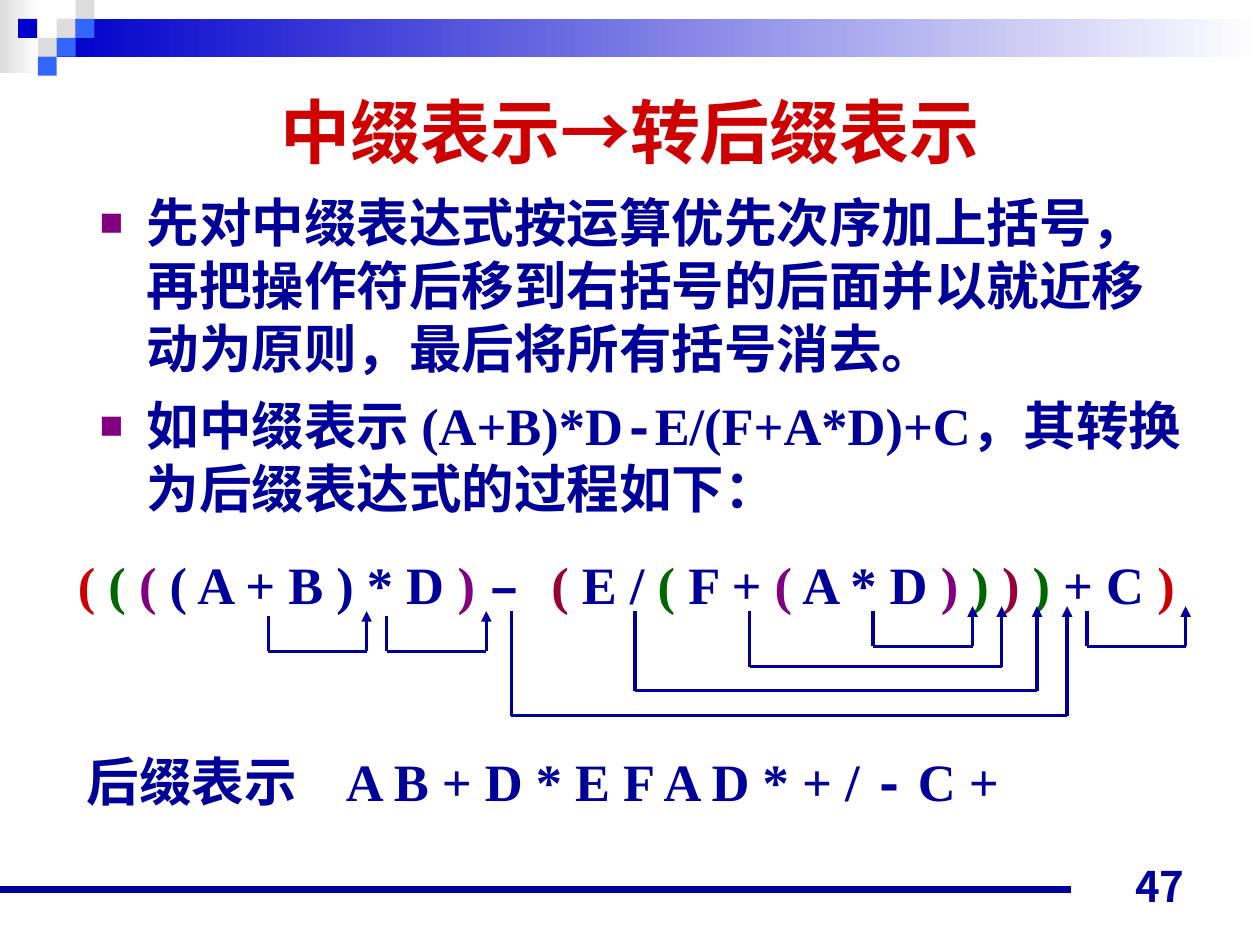
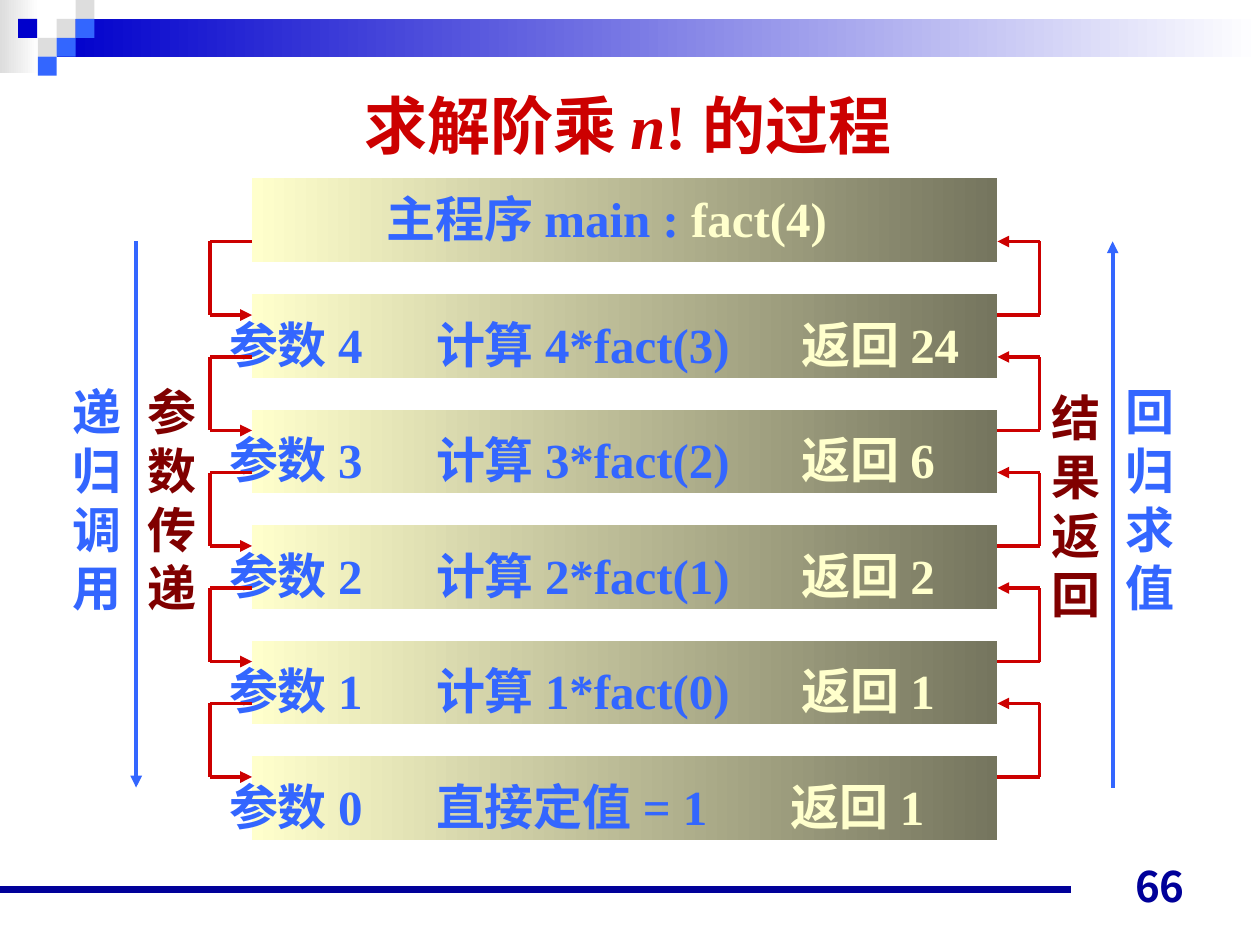
from lxml.etree import SubElement
from pptx import Presentation
from pptx.dml.color import RGBColor
from pptx.enum.shapes import MSO_CONNECTOR, MSO_SHAPE
from pptx.enum.text import MSO_ANCHOR, MSO_AUTO_SIZE, PP_ALIGN
from pptx.oxml.ns import qn
from pptx.util import Pt

WHITE = RGBColor(0xFF, 0xFF, 0xFF)
GREY = RGBColor(0xDD, 0xDD, 0xDD)
BAND_BLUE = RGBColor(0x00, 0x00, 0xCC)
LIGHT_BLUE = RGBColor(0x33, 0x66, 0xFF)
NAVY = RGBColor(0x00, 0x00, 0x99)
RED = RGBColor(0xCC, 0x00, 0x00)
GREEN = RGBColor(0x00, 0x66, 0x00)
PURPLE = RGBColor(0x80, 0x00, 0x80)
CRIMSON = RGBColor(0x99, 0x00, 0x33)
MAROON = RGBColor(0x80, 0x00, 0x00)
CREAM = RGBColor(0xFF, 0xFF, 0xCC)
OLIVE = RGBColor(0x75, 0x75, 0x5E)

SERIF = "Times New Roman"
MONO = "Courier New"
SANS = "Arial"
CHINESE = "Noto Sans CJK SC"
NUMBER_FONT = "Noto Sans CJK JP"

# Shared decoration: squares are (left, top, colour)
SQUARE = 10.8
SQUARES = [
    (32.4, 10.8, GREY), (43.2, 0, GREY), (43.2, 10.8, LIGHT_BLUE),
    (21.6, 21.6, GREY), (10.4, 10.8, BAND_BLUE),
    (32.4, 21.6, LIGHT_BLUE), (21.6, 32.4, LIGHT_BLUE),
]

# Slide 47: runs are (text, format)
POSTFIX_TITLE = [("中缀表示", {}), ("→", {"font": MONO}), ("转后缀表示", {})]
POSTFIX_BULLETS = [
    [("先对中缀表达式按运算优先次序加上括号，再把操作符后移到右括号的后面"
      "并以就近移动为原则，最后将所有括号消去。", {})],
    [("如中缀表示 ", {}), ("(A+B)*D", {"font": SERIF}), ("-", {"font": MONO}),
     ("E/(F+A*D)+C", {"font": SERIF}),
     ("，其转换为后缀表达式的过程如下：", {})],
]
BRACKETED_EXPRESSION = [
    ("( ", {"color": RED}), ("( ", {"color": GREEN}), ("(", {"color": PURPLE}),
    (" ( A + B ) * D ", {}), (") ", {"color": PURPLE}), ("– ", {"font": MONO}),
    ("(", {"color": CRIMSON}), (" E / ", {}), ("(", {"color": GREEN}),
    (" F + ", {}), ("(", {"color": PURPLE}), (" A * D ", {}),
    (") ", {"color": PURPLE}), (") ", {"color": GREEN}),
    (") ", {"color": CRIMSON}), (")", {"color": GREEN}), (" + C ", {}),
    (")", {"color": RED}),
]
POSTFIX_RESULT = [("后缀表示\tA B + D * E F A D * + / ", {}),
                  ("-", {"font": MONO}), (" C +", {})]
# (operator x, bracket x, bottom y, arrow tip y)
OPERATOR_MOVES = [
    (153.4, 209.5, 372.2, 349.2), (221, 277.9, 372.2, 349.2),
    (499, 555.8, 369.4, 346.4), (428.4, 572.4, 380.9, 346.4),
    (362.9, 592.6, 394.6, 346.4), (621.2, 677.5, 369.4, 346.4),
    (292.3, 609.8, 409, 346.4),
]

# Slide 66
FACTORIAL_TITLE = [("求解阶乘 ", {}), ("n", {"italic": True}), ("! 的过程", {})]
MAIN_CALL = ("主程序 main : ", "fact(4)")
# (parameter, calculation, result, tab position of the result)
CALLS = [
    ("参数 4", "计算 4*fact(3)", "返回 24", 327),
    ("参数 3", "计算 3*fact(2)", "返回 6", 327),
    ("参数 2", "计算 2*fact(1)", "返回 2", 327),
    ("参数 1", "计算 1*fact(0)", "返回 1", 327),
    ("参数 0", "直接定值 = 1", "返回 1", 321),
]
# (text, left, top, width, colour)
SIDE_LABELS = [
    ("参数传递", 77, 212.4, 49, MAROON), ("结果返回", 594, 216, 43.2, MAROON),
    ("递归调用", 34.6, 212.4, 49, LIGHT_BLUE),
    ("回归求值", 635.8, 212.4, 49, LIGHT_BLUE),
]
BAR_LEFT, BAR_TOP, BAR_WIDTH, BAR_HEIGHT, BAR_STEP = 144, 102, 426, 48, 66
LINK_REACH = 24
LINK_START, LINK_END = 36, 78


def place(shape, left, top, width, height):
    shape.left, shape.top = Pt(left), Pt(top)
    shape.width, shape.height = Pt(width), Pt(height)


def add_bullet(properties):
    properties.set("marL", str(Pt(27)))
    properties.set("indent", str(Pt(-27)))
    color = SubElement(properties, qn("a:buClr"))
    SubElement(color, qn("a:srgbClr"), val=str(PURPLE))
    SubElement(properties, qn("a:buSzPct"), val="75000")
    SubElement(properties, qn("a:buFont"), typeface=SANS)
    SubElement(properties, qn("a:buChar"), char="■")


def write_text(shape, paragraphs, size=30, font=SERIF, color=NAVY,
               align=PP_ALIGN.LEFT, anchor=MSO_ANCHOR.TOP, bullet=False,
               gap=0, tabs=(), top_inset=5.6):
    """Fill a shape with paragraphs, each a list of (text, format) runs."""
    frame = shape.text_frame
    frame.word_wrap = True
    frame.auto_size = MSO_AUTO_SIZE.NONE
    frame.vertical_anchor = anchor
    frame.margin_left = frame.margin_right = Pt(7.2)
    frame.margin_top, frame.margin_bottom = Pt(top_inset), Pt(3.6)
    for index, runs in enumerate(paragraphs):
        paragraph = frame.add_paragraph() if index else frame.paragraphs[0]
        properties = paragraph._p.get_or_add_pPr()
        if bullet:
            add_bullet(properties)
        if tabs:
            tab_list = SubElement(properties, qn("a:tabLst"))
            for position in tabs:
                SubElement(tab_list, qn("a:tab"), pos=str(Pt(position)), algn="l")
        paragraph.alignment = align
        paragraph.line_spacing = Pt(size * 1.2)
        paragraph.space_before = Pt(gap if index else 0)
        for text, changes in runs:
            run = paragraph.add_run()
            run.text = text
            run.font.size = Pt(size)
            run.font.bold = True
            run.font.italic = changes.get("italic", False)
            run.font.color.rgb = changes.get("color", color)
            run.font.name = changes.get("font", font)
            SubElement(run._r.get_or_add_rPr(), qn("a:ea"), typeface=CHINESE)


def add_text(slide, left, top, width, height, runs, **text_format):
    box = slide.shapes.add_textbox(Pt(left), Pt(top), Pt(width), Pt(height))
    write_text(box, [runs], **text_format)


def add_rectangle(slide, left, top, width, height, color, right_color=None):
    """Add a plain rectangle, or one that fades from color to right_color."""
    shape = slide.shapes.add_shape(MSO_SHAPE.RECTANGLE, Pt(left), Pt(top),
                                   Pt(width), Pt(height))
    shape.shadow.inherit = False
    shape.line.fill.background()
    if right_color is None:
        shape.fill.solid()
        shape.fill.fore_color.rgb = color
        return
    shape.fill.gradient()
    shape.fill.gradient_angle = 180
    for stop, stop_color in zip(shape.fill.gradient_stops, (right_color, color)):
        stop.color.rgb = stop_color


def add_line(slide, start, end, color, width, arrow=False):
    line = slide.shapes.add_connector(MSO_CONNECTOR.STRAIGHT,
                                      *(Pt(value) for value in (*start, *end)))
    line.line.color.rgb = color
    line.line.width = Pt(width)
    if arrow:
        SubElement(line.line._get_or_add_ln(), qn("a:tailEnd"), type="triangle")
    SubElement(line._element.spPr, qn("a:effectLst"))


def add_path(slide, points, color, width):
    """Join points with straight lines; the last one carries an arrowhead."""
    for index in range(1, len(points)):
        add_line(slide, points[index - 1], points[index], color, width,
                 arrow=index == len(points) - 1)


def add_slide(presentation, layout_index, number, title, title_area, **title_format):
    slide = presentation.slides.add_slide(presentation.slide_layouts[layout_index])
    add_rectangle(slide, 0, 0, 22.3, 41.8, GREY, WHITE)
    add_rectangle(slide, 32.4, 10.8, 687.6, 21.6, BAND_BLUE, WHITE)
    for left, top, color in SQUARES:
        add_rectangle(slide, left, top, SQUARE, SQUARE, color)
    add_line(slide, (0, 508.3), (612, 508.3), NAVY, 4.5)
    place(slide.shapes.title, *title_area)
    write_text(slide.shapes.title, [title], color=RED, align=PP_ALIGN.CENTER,
               anchor=MSO_ANCHOR.MIDDLE, **title_format)
    add_text(slide, 516, 488, 168, 36, [(number, {})], size=24, font=NUMBER_FONT,
             align=PP_ALIGN.RIGHT, anchor=MSO_ANCHOR.BOTTOM, top_inset=3.6)
    return slide


def build_postfix_slide(presentation):
    slide = add_slide(presentation, 1, "47", POSTFIX_TITLE, (36, 36, 648, 75.6),
                      size=40, font=SANS)
    body = slide.placeholders[1]
    place(body, 49.7, 103, 633.6, 204.5)
    write_text(body, POSTFIX_BULLETS, font=CHINESE, bullet=True, gap=8)
    add_text(slide, 37.4, 309.6, 675, 43.2, BRACKETED_EXPRESSION)
    for operator_x, bracket_x, bottom, tip in OPERATOR_MOVES:
        add_path(slide, [(operator_x, tip + 2.9), (operator_x, bottom),
                         (bracket_x, bottom), (bracket_x, tip)], NAVY, 2)
    add_text(slide, 42.5, 422.6, 600, 43.2, POSTFIX_RESULT, tabs=[148])


def build_factorial_slide(presentation):
    slide = add_slide(presentation, 5, "66", FACTORIAL_TITLE,
                      (164.2, 43.2, 388.8, 54), size=36)
    for index in range(len(CALLS) + 1):
        add_rectangle(slide, BAR_LEFT, BAR_TOP + index * BAR_STEP,
                      BAR_WIDTH, BAR_HEIGHT, CREAM, OLIVE)
    call, argument = MAIN_CALL
    add_text(slide, 213.8, BAR_TOP, 290, 41, [(call, {}), (argument, {"color": CREAM})],
             size=28, color=LIGHT_BLUE)

    bar_right = BAR_LEFT + BAR_WIDTH
    for index, (parameter, calculation, result, result_tab) in enumerate(CALLS):
        top = BAR_TOP + index * BAR_STEP
        add_text(slide, 123.8, top + BAR_STEP + 6, 470, 41,
                 [(f"{parameter}\t{calculation}\t", {}), (result, {"color": CREAM})],
                 size=28, color=LIGHT_BLUE, tabs=[118.3, result_tab])
        upper, lower = top + LINK_START, top + LINK_END
        left, right = BAR_LEFT - LINK_REACH, bar_right + LINK_REACH
        add_path(slide, [(BAR_LEFT, upper), (left, upper), (left, lower),
                         (BAR_LEFT, lower)], RED, 2.25)
        add_path(slide, [(bar_right, lower), (right, lower), (right, upper),
                         (bar_right, upper)], RED, 2.25)

    for text, left, top, width, color in SIDE_LABELS:
        add_text(slide, left, top, width, 142, [(text, {})], size=28, color=color)
    add_line(slide, (77.8, 138), (77.8, 450), LIGHT_BLUE, 2.25, arrow=True)
    add_line(slide, (635.8, 450), (635.8, 138), LIGHT_BLUE, 2.25, arrow=True)


def main():
    presentation = Presentation()
    presentation.slide_width, presentation.slide_height = Pt(720), Pt(540)
    build_postfix_slide(presentation)
    build_factorial_slide(presentation)
    presentation.save("out.pptx")


if __name__ == "__main__":
    main()
